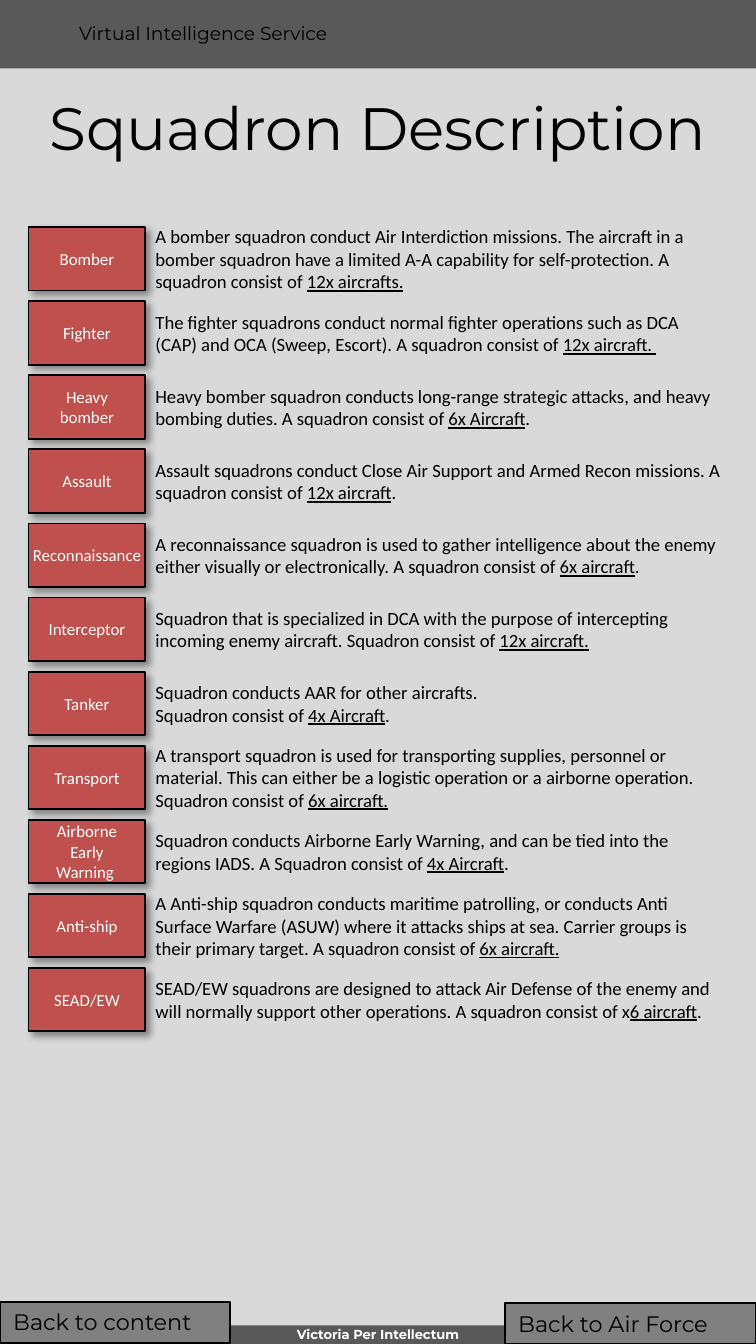
import pptx
import pptx.util
import pptx.oxml
import pptx.oxml.ns
import pptx.dml.color
import pptx.enum.text
import pptx.enum.shapes
from dataclasses import dataclass

Pt = pptx.util.Pt
Align = pptx.enum.text.PP_ALIGN
Anchor = pptx.enum.text.MSO_ANCHOR


@dataclass(frozen=True)
class Theme:
    """Colours, fonts and type sizes of the slide."""
    paper: str = "D9D9D9"
    bar: str = "595959"
    tag: str = "C0504D"
    button: str = "808080"
    black: str = "000000"
    white: str = "FFFFFF"
    head_font: str = "Montserrat"
    body_font: str = "Calibri"
    title_size: int = 32
    button_size: int = 12
    body_size: int = 10
    tag_size: int = 9
    motto_size: int = 7


theme = Theme()
rgb = pptx.dml.color.RGBColor.from_string

SHADOW = (
    f'<a:effectLst {pptx.oxml.ns.nsdecls("a")}>'
    f'<a:outerShdw blurRad="{Pt(4)}" dist="{Pt(3)}" dir="2700000" algn="tl" rotWithShape="0">'
    f'<a:srgbClr val="{theme.black}"><a:alpha val="40000"/></a:srgbClr>'
    '</a:outerShdw></a:effectLst>'
)


def write(box, text, size=theme.body_size, font=theme.body_font, color=theme.black,
          bold=False, align=Align.LEFT, anchor=Anchor.MIDDLE, inset=(0, 0)):
    """Fill a box with text; newlines part paragraphs, bars enclose underlined words."""
    frame = box.text_frame
    frame.word_wrap = True
    frame.auto_size = pptx.enum.text.MSO_AUTO_SIZE.NONE
    frame.vertical_anchor = anchor
    frame.margin_left = frame.margin_right = Pt(inset[0])
    frame.margin_top = frame.margin_bottom = Pt(inset[1])
    for row, line in enumerate(text.split("\n")):
        para = frame.add_paragraph() if row else frame.paragraphs[0]
        para.alignment = align
        for index, piece in enumerate(line.split("|")):
            if not piece:
                continue
            span = para.add_run()
            span.text = piece
            span.font.size = Pt(size)
            span.font.name = font
            span.font.bold = bold
            span.font.color.rgb = rgb(color)
            if index % 2:
                span.font.underline = True


def add_box(left, top, width, height, fill, outlined=True):
    """Add a flat filled rectangle, with a thin black outline unless told otherwise."""
    box = page.shapes.add_shape(pptx.enum.shapes.MSO_SHAPE.RECTANGLE,
                                Pt(left), Pt(top), Pt(width), Pt(height))
    box.shadow.inherit = False
    box.fill.solid()
    box.fill.fore_color.rgb = rgb(fill)
    if outlined:
        box.line.color.rgb = rgb(theme.black)
        box.line.width = Pt(1)
    else:
        box.line.fill.background()
    return box


PAGE_WIDTH, PAGE_HEIGHT = 405, 720
deck = pptx.Presentation()
deck.slide_width, deck.slide_height = Pt(PAGE_WIDTH), Pt(PAGE_HEIGHT)
page = deck.slides.add_slide(deck.slide_layouts[5])
page.background.fill.solid()
page.background.fill.fore_color.rgb = rgb(theme.paper)

# Header, footer and title
add_box(0, 0, PAGE_WIDTH, 36.7, theme.bar, outlined=False)
add_box(0, 710, PAGE_WIDTH, 10, theme.bar, outlined=False)
service = page.shapes.add_textbox(Pt(35.3), Pt(7.9), Pt(278), Pt(19.4))
write(service, "Virtual Intelligence Service", font=theme.head_font,
      anchor=Anchor.TOP, inset=(7.2, 3.6))
motto = page.shapes.add_textbox(0, Pt(710.6), Pt(PAGE_WIDTH), Pt(8.6))
write(motto, "Victoria Per Intellectum", size=theme.motto_size, font=theme.head_font,
      color=theme.white, bold=True, align=Align.CENTER, anchor=Anchor.TOP)

title = page.shapes.title
title.left, title.top, title.width, title.height = 0, Pt(48.2), Pt(PAGE_WIDTH), Pt(39.6)
write(title, "Squadron Description", size=theme.title_size, font=theme.head_font,
      align=Align.CENTER, inset=(7.2, 3.6))

# One red tag and one description per squadron
squadrons = [
    ("Bomber", "A bomber squadron conduct Air Interdiction missions. The aircraft in a bomber "
     "squadron have a limited A-A capability for self-protection. A squadron consist of "
     "|12x aircrafts.|"),
    ("Fighter", "The fighter squadrons conduct normal fighter operations such as DCA (CAP) and "
     "OCA (Sweep, Escort). A squadron consist of |12x aircraft. |"),
    ("Heavy bomber", "Heavy bomber squadron conducts long-range strategic attacks, and heavy "
     "bombing duties. A squadron consist of |6x Aircraft|."),
    ("Assault", "Assault squadrons conduct Close Air Support and Armed Recon missions. "
     "A squadron consist of |12x aircraft|."),
    ("Reconnaissance", "A reconnaissance squadron is used to gather intelligence about the enemy "
     "either visually or electronically. A squadron consist of |6x aircraft|."),
    ("Interceptor", "Squadron that is specialized in DCA with the purpose of intercepting "
     "incoming enemy aircraft. Squadron consist of |12x aircraft.|"),
    ("Tanker", "Squadron conducts AAR for other aircrafts.\n"
     "Squadron consist of |4x Aircraft|."),
    ("Transport", "A transport squadron is used for transporting supplies, personnel or "
     "material. This can either be a logistic operation or a airborne operation. "
     "Squadron consist of |6x aircraft.|"),
    ("Airborne Early Warning ", "Squadron conducts Airborne Early Warning, and can be tied into "
     "the regions IADS. A Squadron consist of |4x Aircraft|."),
    ("Anti-ship", "A Anti-ship squadron conducts maritime patrolling, or conducts Anti Surface "
     "Warfare (ASUW) where it attacks ships at sea. Carrier groups is their primary target. "
     "A squadron consist of |6x aircraft.|"),
    ("SEAD/EW", "SEAD/EW squadrons are designed to attack Air Defense of the enemy and will "
     "normally support other operations. A squadron consist of x|6 aircraft|."),
]
FIRST_TOP, ROW_STEP, ROW_HEIGHT = 121.7, 39.68, 34
for index, (name, description) in enumerate(squadrons):
    top = FIRST_TOP + index * ROW_STEP
    tag = add_box(15.3, top, 62.6, ROW_HEIGHT, theme.tag)
    properties = tag._element.spPr
    properties.replace(properties.find(pptx.oxml.ns.qn("a:effectLst")),
                       pptx.oxml.parse_xml(SHADOW))
    side = 0 if name == "Reconnaissance" else 7.2
    write(tag, name, size=theme.tag_size, color=theme.white, align=Align.CENTER,
          inset=(side, 3.6))
    note = page.shapes.add_textbox(Pt(83.3), Pt(top), Pt(304.6), Pt(ROW_HEIGHT))
    write(note, description)

# Navigation buttons
for label, left, top, width in [("Back to content", 0, 697.5, 123.3),
                                ("Back to Air Force", 270.5, 698.2, 134.5)]:
    button = add_box(left, top, width, 21.8, theme.button)
    write(button, label, size=theme.button_size, font=theme.head_font,
          anchor=Anchor.TOP, inset=(7.2, 3.6))

deck.save("out.pptx")
